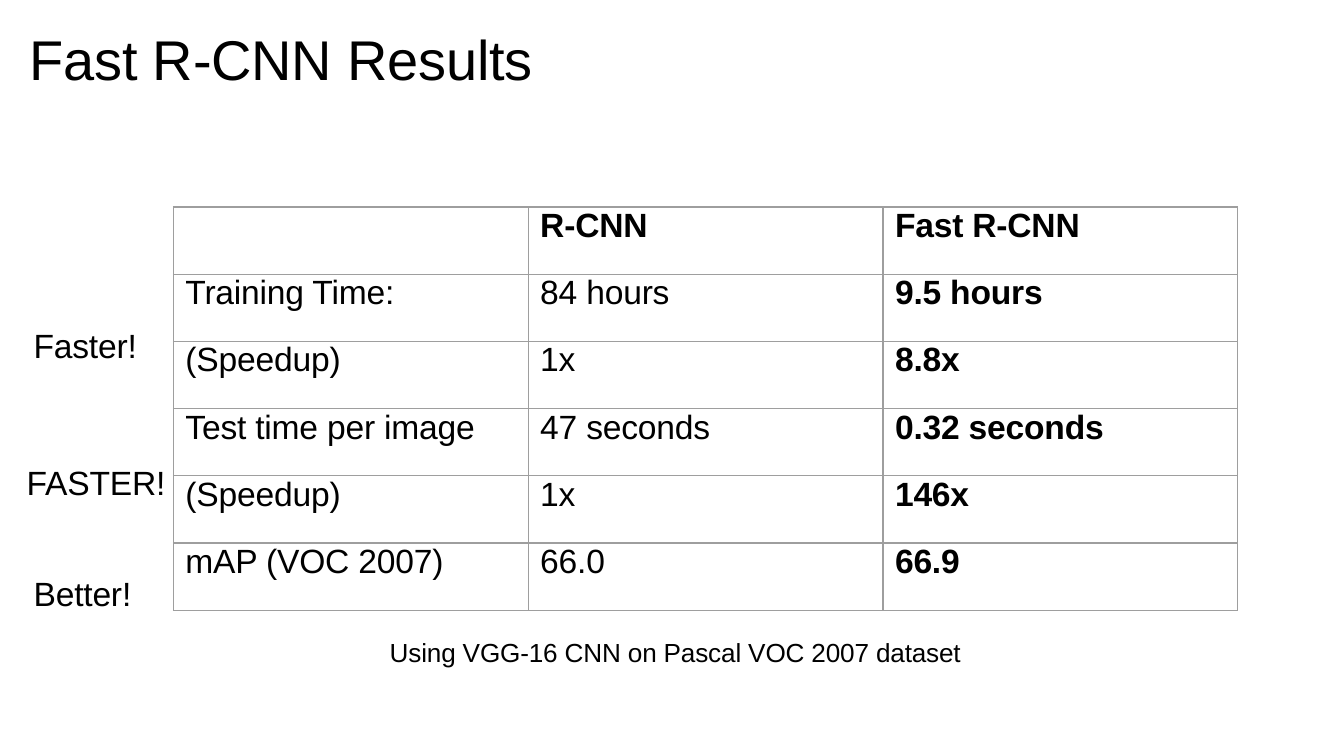
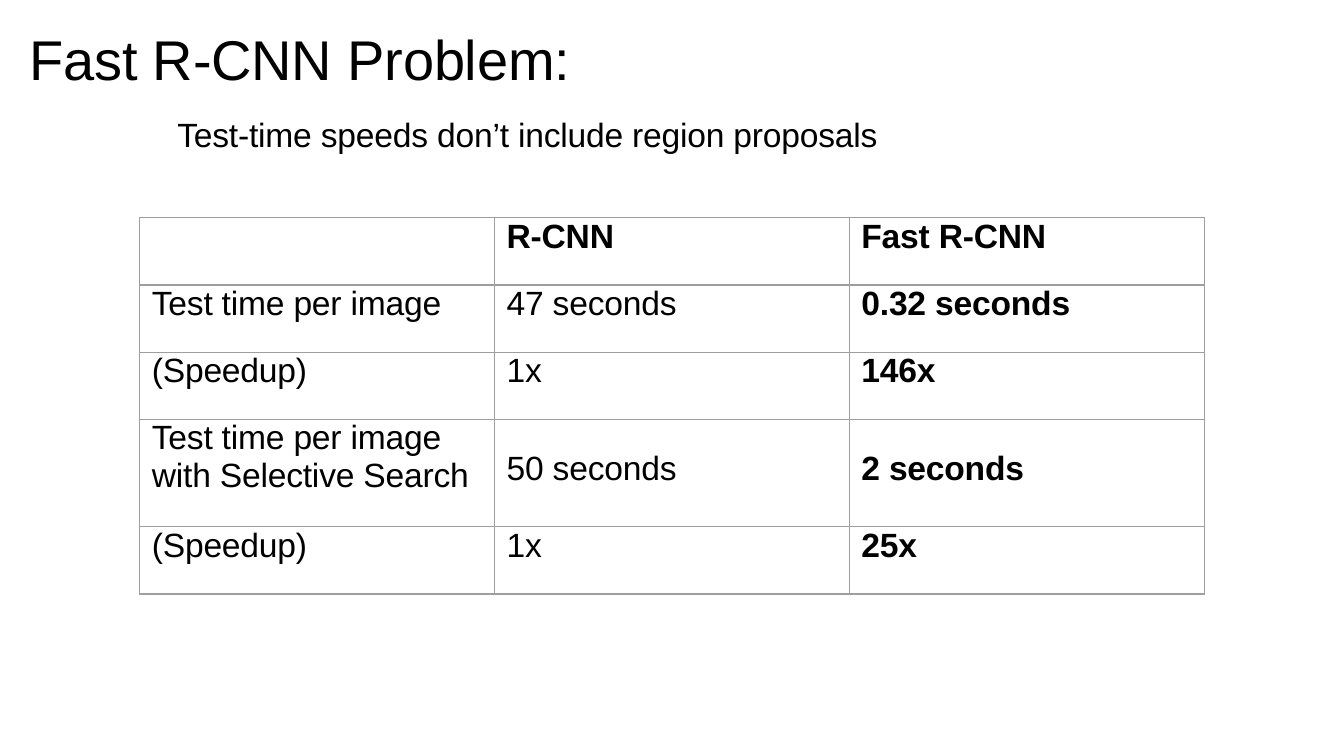
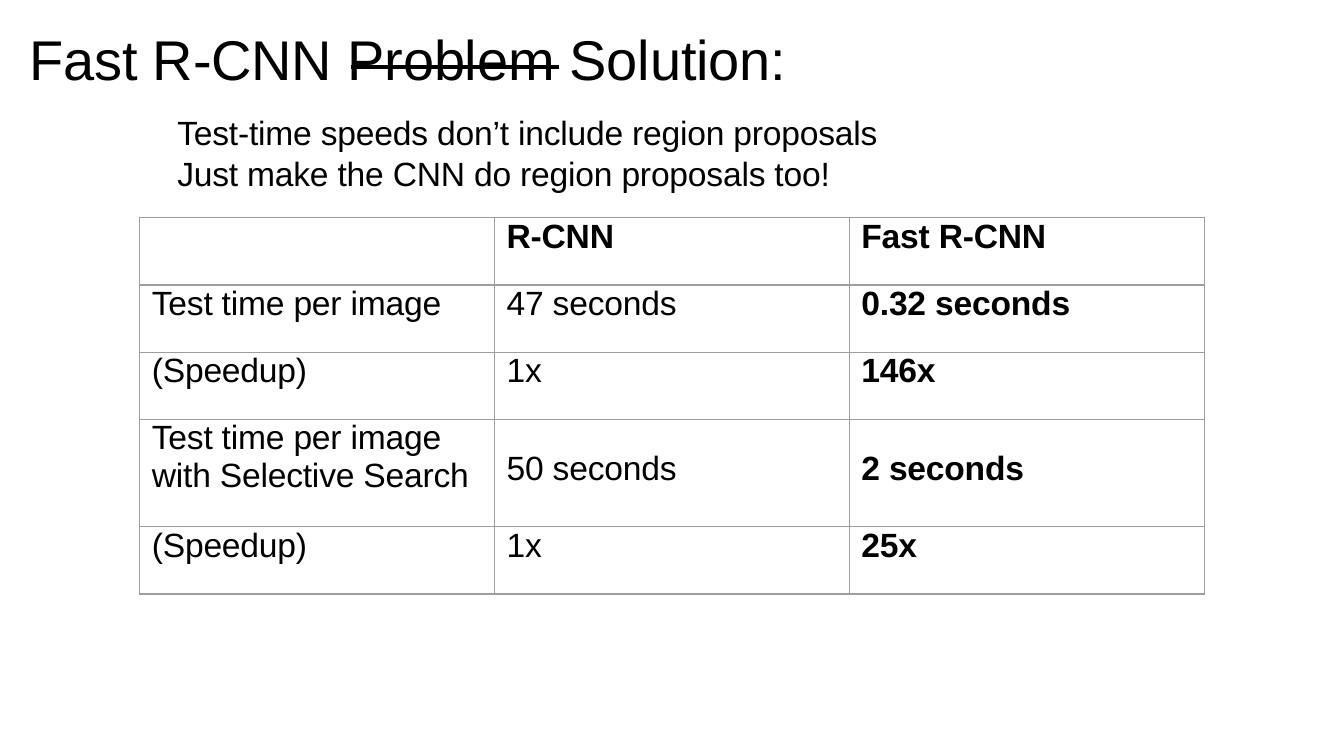
"""Builds three slides that compare R-CNN with Fast R-CNN in tables."""
from lxml.etree import SubElement
from pptx import Presentation
from pptx.dml.color import RGBColor
from pptx.enum.shapes import MSO_CONNECTOR as CONNECTOR
from pptx.enum.text import MSO_ANCHOR as ANCHOR, MSO_AUTO_SIZE as AUTOSIZE, PP_ALIGN as ALIGN
from pptx.oxml import parse_xml
from pptx.oxml.ns import nsdecls, qn
from pptx.util import Inches, Pt

FONT = "Arial"
BLACK = "000000"
GRID_GRAY = "9E9E9E"
COLUMN = 2.64
ROW = 0.5
TALL_ROW = 0.8
BORDER = (
    '<a:{side} {ns} w="9525"><a:solidFill><a:srgbClr val="{color}"/></a:solidFill>'
    '<a:prstDash val="solid"/></a:{side}>'
)


def style(frame, size, top=0.03):
    """Gives a text frame the shared font and margins."""
    frame.word_wrap = True
    frame.auto_size = AUTOSIZE.NONE
    frame.vertical_anchor = ANCHOR.TOP
    frame.margin_left = Inches(0.01)
    frame.margin_top = Inches(top)
    frame.margin_right = frame.margin_bottom = 0
    for paragraph in frame.paragraphs:
        paragraph.alignment = ALIGN.LEFT
        for run in paragraph.runs:
            run.font.name = FONT
            run.font.size = Pt(size)
            run.font.color.rgb = RGBColor.from_string(BLACK)
            run._r.get_or_add_rPr().set("spc", "-10")


def add_text(slide, text, left, top, width, height, size=18):
    """Adds a text box in the shared style and returns its frame."""
    box = slide.shapes.add_textbox(Inches(left), Inches(top), Inches(width), Inches(height))
    box.text_frame.text = text
    style(box.text_frame, size)
    return box.text_frame


header = ("", "R-CNN", "Fast R-CNN")
test_time = [
    ("Test time per image", "47 seconds", "0.32 seconds"),
    ("(Speedup)", "1x", "146x"),
]
results = [
    header,
    ("Training Time:", "84 hours", "9.5 hours"),
    ("(Speedup)", "1x", "8.8x"),
    *test_time,
    ("mAP (VOC 2007)", "66.0", "66.9"),
]
with_proposals = [
    header,
    *test_time,
    ("Test time per image with Selective Search", "50 seconds", "2 seconds"),
    ("(Speedup)", "1x", "25x"),
]
comparisons = [
    ("Fast R-CNN Results", results, 1.29, 1.54),
    ("Fast R-CNN Problem:", with_proposals, 1.04, 1.62),
    ("Fast R-CNN Problem Solution:", with_proposals, 1.04, 1.62),
]

prs = Presentation()
prs.slide_width = Inches(10)
prs.slide_height = Inches(10 * 9 / 16)
title_only = prs.slide_layouts[5]

for heading, rows, left, top in comparisons:
    slide = prs.slides.add_slide(title_only)
    title = slide.shapes.title
    title.left, title.top = Inches(0.21), Inches(0.15)
    title.width, title.height = Inches(9.58), Inches(1.01)
    title.text_frame.text = heading
    style(title.text_frame, 30)

    heights = [TALL_ROW if "Selective" in row[0] else ROW for row in rows]
    table = slide.shapes.add_table(
        len(rows), len(header), Inches(left), Inches(top),
        Inches(COLUMN * len(header)), Inches(sum(heights)),
    ).table
    table.first_row = table.horz_banding = False
    for column in table.columns:
        column.width = Inches(COLUMN)
    for r, (row, height) in enumerate(zip(rows, heights)):
        table.rows[r].height = Inches(height)
        for c, value in enumerate(row):
            cell = table.cell(r, c)
            cell.text_frame.text = value
            style(cell.text_frame, 18)
            for run in cell.text_frame.paragraphs[0].runs:
                run.font.bold = r == 0 or c == 2
            cell.margin_left = Inches(0.09)
            cell.margin_right = cell.margin_bottom = 0
            cell.margin_top = Inches(0.23 if height == TALL_ROW and c else 0)
            cell.vertical_anchor = ANCHOR.TOP
            properties = cell._tc.get_or_add_tcPr()
            for side in ("lnL", "lnR", "lnT", "lnB"):
                properties.append(parse_xml(BORDER.format(side=side, ns=nsdecls("a"), color=GRID_GRAY)))
            cell.fill.background()

results_slide, problem_slide, solution_slide = prs.slides

caption = add_text(results_slide, "Using VGG-16 CNN on Pascal VOC 2007 dataset", 2.89, 4.73, 4.33, 0.25, 14)
caption.paragraphs[0].line_spacing = Pt(15.2)

verdicts = add_text(results_slide, "Faster!\nFASTER!\nBetter!", 0.17, 2.39, 1.08, 2.09)
faster, much_faster, better = verdicts.paragraphs
for verdict in (faster, better):
    verdict._p.get_or_add_pPr().set("marL", str(Inches(0.07)))
much_faster.alignment = ALIGN.CENTER
much_faster.space_before = Pt(51.6)
better.space_before = Pt(37.7)

problem = "Test-time speeds don’t include region proposals"
add_text(problem_slide, problem, 1.31, 0.82, 5.33, 0.3)
remedy = add_text(solution_slide, problem + " Just make the CNN do region proposals too!", 1.31, 0.8, 5.33, 0.62)
remedy.paragraphs[0].line_spacing = 1.01

strike = solution_slide.shapes.add_connector(
    CONNECTOR.STRAIGHT, Inches(2.61), Inches(0.5), Inches(4.16), Inches(0.5)
)
strike.line.color.rgb = RGBColor.from_string(BLACK)
strike.line.width = Pt(2.4)
SubElement(strike._element.spPr, qn("a:effectLst"))

prs.save("out.pptx")
